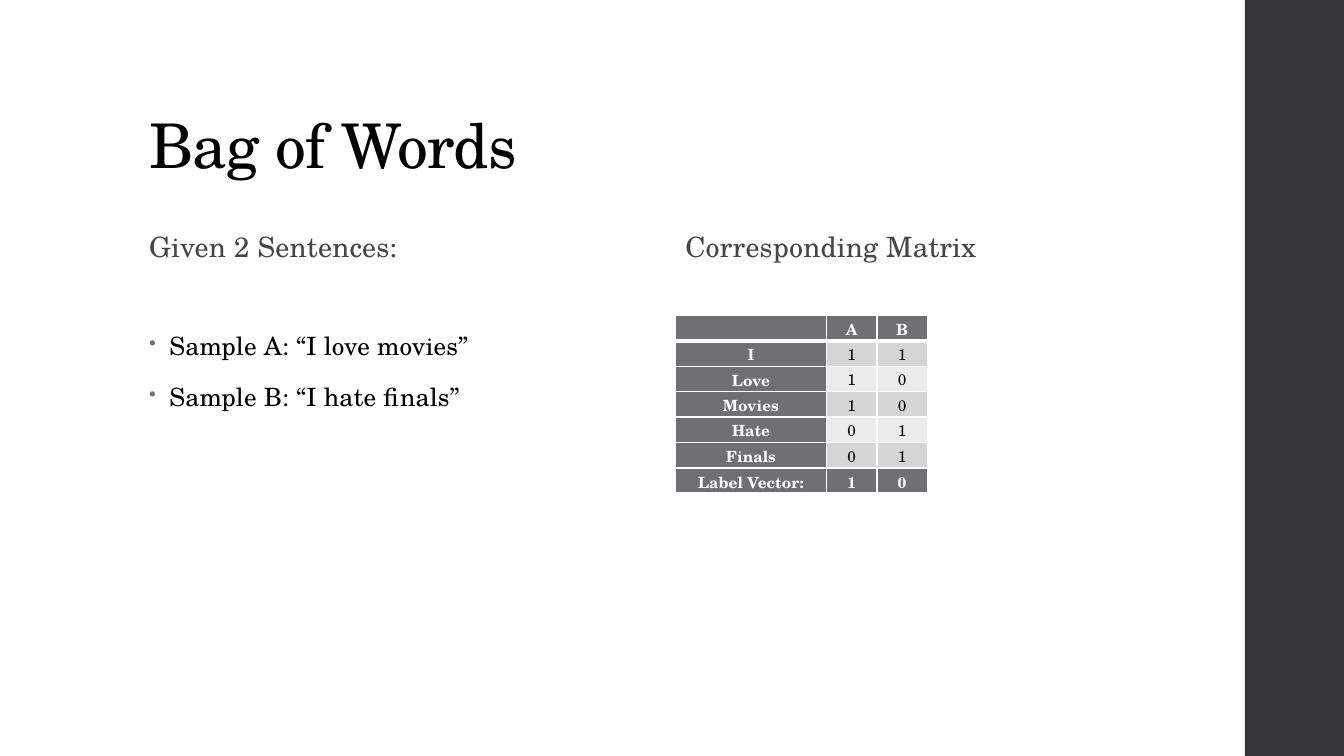
import lxml.etree
import pptx
import pptx.dml.color
import pptx.enum.shapes
import pptx.enum.text
import pptx.oxml.ns
import pptx.util

Cm, Pt = pptx.util.Cm, pptx.util.Pt
ANCHOR = pptx.enum.text.MSO_ANCHOR
ALIGN = pptx.enum.text.PP_ALIGN
qn = pptx.oxml.ns.qn

INK, WHITE, GRAY = "000000", "FFFFFF", "6F6F74"
BANDS = ("D5D5D6", "EBEBEB")
LEFT, RIGHT = 3.51, 17.02
COLUMN_WIDTHS = (3.81, 1.27, 1.27)
ROW_HEIGHT = 0.64


def color(code):
    """Turn a hex string into a colour."""
    return pptx.dml.color.RGBColor.from_string(code)


def assign(target, values):
    """Set every attribute named in a dict."""
    for name, value in values.items():
        setattr(target, name, value)


def add_xml(parent, tag, **attributes):
    """Append a DrawingML element and return it."""
    return lxml.etree.SubElement(
        parent, qn(tag), {key: str(value) for key, value in attributes.items()})


class SlideBuilder:
    """Holds the text style and the current slide."""

    font = "TeX Gyre Schola"

    def __init__(self, page):
        """Remember the slide to draw on."""
        self.page = page

    def bar(self, left, top, width, height, fill):
        """Draw a plain filled rectangle."""
        box = self.page.shapes.add_shape(
            pptx.enum.shapes.MSO_SHAPE.RECTANGLE, Cm(left), Cm(top), Cm(width), Cm(height))
        box.shadow.inherit = False
        box.fill.solid()
        box.fill.fore_color.rgb = color(fill)
        box.line.fill.background()

    def span(self, para, text, size, ink, bold=False, tracking=0):
        """Add one styled run to a paragraph."""
        span = para.add_run()
        span.text = text
        assign(span.font, {"name": self.font, "size": Pt(size), "bold": bold})
        span.font.color.rgb = color(ink)
        if tracking:
            span._r.get_or_add_rPr().set("spc", str(tracking))

    def bullet(self, para):
        """Give a paragraph a small gray hanging bullet."""
        properties = para._p.get_or_add_pPr()
        properties.set("marL", str(Cm(0.51)))
        properties.set("indent", str(-Cm(0.51)))
        add_xml(add_xml(properties, "a:buClr"), "a:srgbClr", val=GRAY)
        add_xml(properties, "a:buSzPct", val=80000)
        add_xml(properties, "a:buChar", char="•")

    def text(self, place, lines, size, ink, anchor=ANCHOR.BOTTOM, tracking=10,
             bullets=False, **spacing):
        """Add a text box with one paragraph per line."""
        frame = self.page.shapes.add_textbox(*map(Cm, place)).text_frame
        assign(frame, {"word_wrap": True, "vertical_anchor": anchor})
        for index, line in enumerate(lines):
            para = frame.add_paragraph() if index else frame.paragraphs[0]
            assign(para, spacing)
            if bullets:
                self.bullet(para)
            self.span(para, line, size, ink, tracking=tracking)

    def cell(self, cell, text, fill, ink, bold, bottom):
        """Fill one table cell and rule its four edges in white."""
        assign(cell, {"margin_left": Cm(0.18), "margin_right": Cm(0.18), "margin_top": 0,
                      "margin_bottom": 0, "vertical_anchor": ANCHOR.MIDDLE})
        para = cell.text_frame.paragraphs[0]
        assign(para, {"alignment": ALIGN.CENTER, "line_spacing": 1.07})
        if text:
            self.span(para, text, 11, ink, bold)
        else:
            add_xml(para._p, "a:endParaRPr", sz=1100)
        properties = cell._tc.get_or_add_tcPr()
        for edge, width in (("L", 1), ("R", 1), ("T", 1), ("B", bottom)):
            line = add_xml(properties, "a:ln" + edge, w=Pt(width))
            add_xml(add_xml(line, "a:solidFill"), "a:srgbClr", val=WHITE)
        cell.fill.solid()
        cell.fill.fore_color.rgb = color(fill)

    def table(self, left, top, rows, strong_row=0):
        """Add a word table with one dark, heavily ruled row."""
        table = self.page.shapes.add_table(
            len(rows), len(COLUMN_WIDTHS), Cm(left), Cm(top),
            Cm(sum(COLUMN_WIDTHS)), Cm(ROW_HEIGHT * len(rows))).table
        assign(table, {"first_row": False, "horz_banding": False})
        for column, width in zip(table.columns, COLUMN_WIDTHS):
            column.width = Cm(width)
        for r, row in enumerate(rows):
            table.rows[r].height = Cm(ROW_HEIGHT)
            for c, value in enumerate(row):
                strong = r == strong_row or c == 0
                fill = GRAY if strong else BANDS[(r - 1) % 2]
                self.cell(table.cell(r, c), value, fill, WHITE if strong else INK,
                          strong, 3 if r == strong_row else 1)


deck = pptx.Presentation()
assign(deck, {"slide_width": Cm(33.87), "slide_height": Cm(19.05)})
builder = SlideBuilder(deck.slides.add_slide(deck.slide_layouts[6]))

builder.bar(31.37, 0, 2.5, 19.05, "353537")
builder.text((LEFT, 1.02, 26.92, 3.68), ["Bag of Words"], 44, INK,
             tracking=-50, line_spacing=0.9)
for left, heading in ((LEFT, "Given 2 Sentences:"), (RIGHT, "Corresponding Matrix")):
    builder.text((left, 4.75, 12.45, 2.03), [heading], 20, "46464A",
                 line_spacing=0.95, space_after=Pt(2))
builder.text((LEFT, 8.25, 12.45, 8.9),
             ["Sample A: “I love movies”", "Sample B: “I hate finals”"], 18, INK,
             anchor=ANCHOR.TOP, bullets=True,
             line_spacing=0.95, space_before=Pt(14), space_after=Pt(2))

word_counts = [("", "A", "B"), ("I", "1", "1"), ("Love", "1", "0"),
               ("Movies", "1", "0"), ("Hate", "0", "1"), ("Finals", "0", "1")]
builder.table(RIGHT, 7.95, word_counts)
builder.table(RIGHT, 11.81, [("Label Vector:", "1", "0")])

deck.save("out.pptx")
